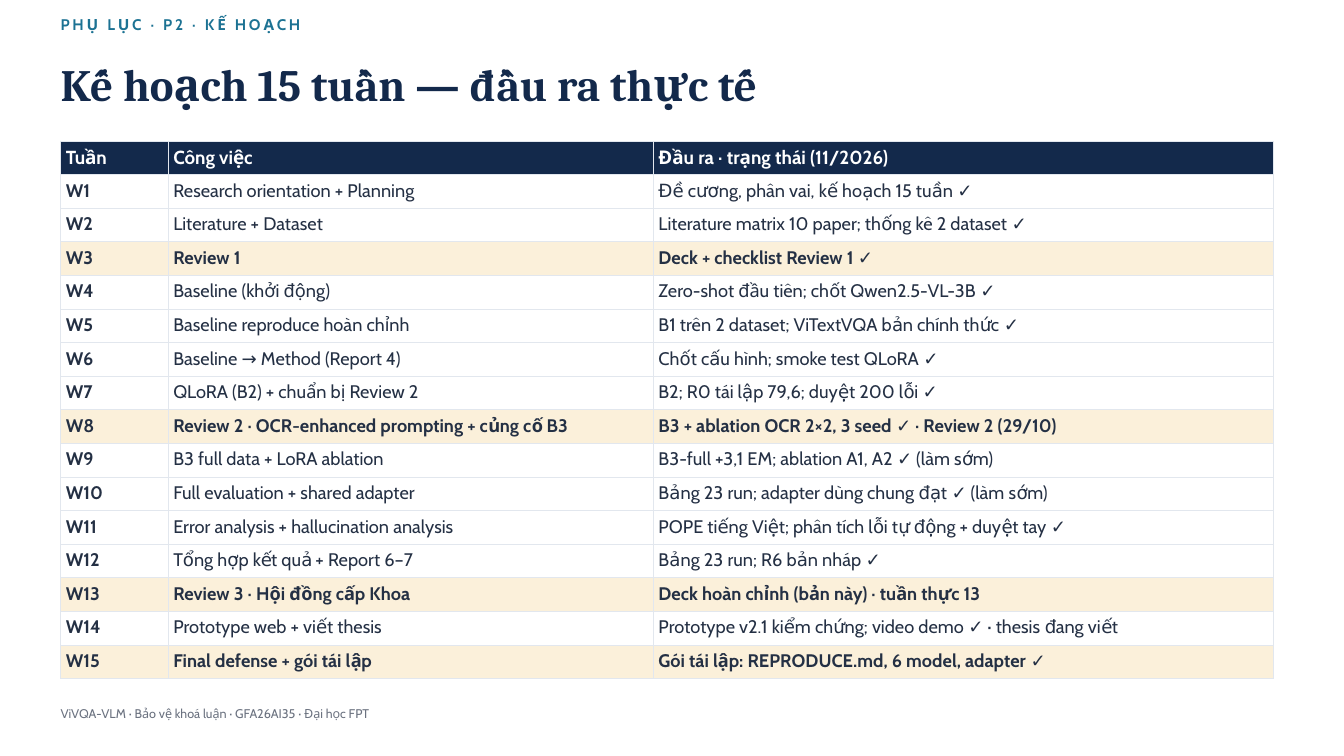
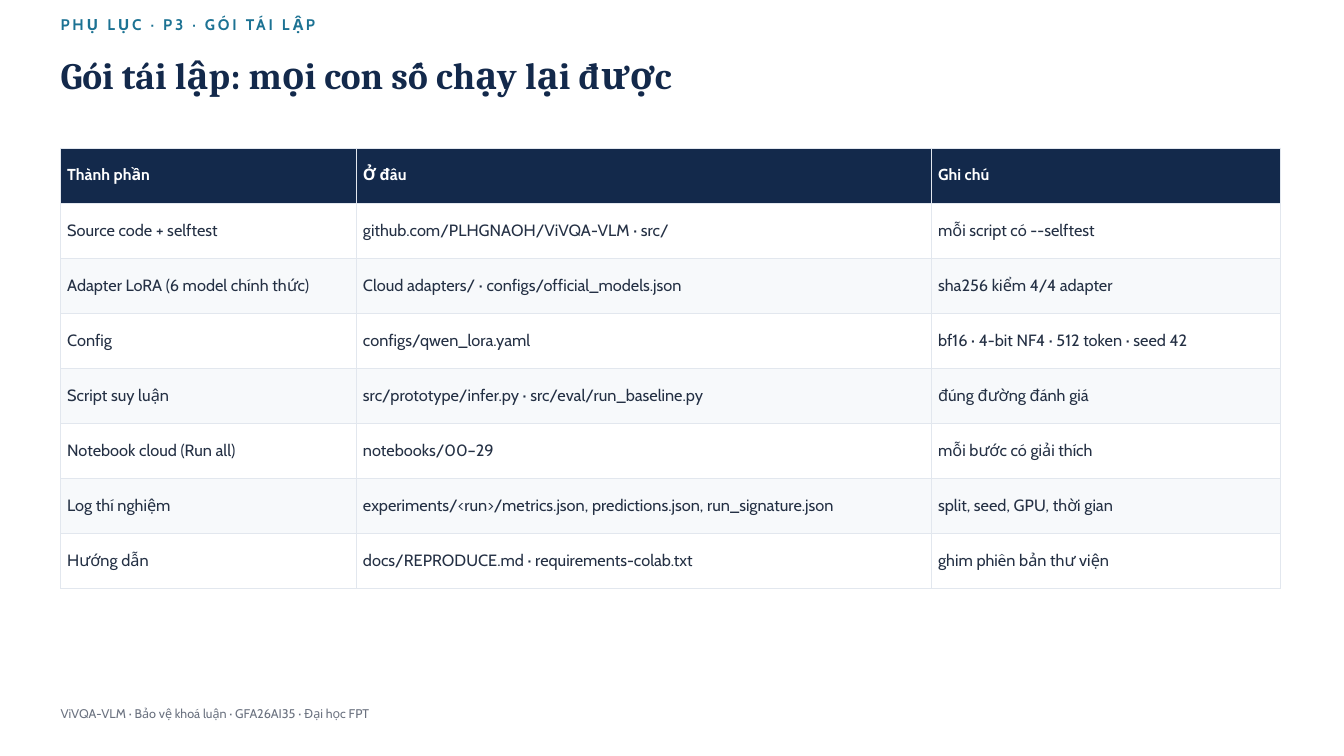
from pptx import Presentation, util as u
from pptx.dml.color import RGBColor
from pptx.enum import text
from pptx.oxml import parse_xml
from pptx.oxml.ns import nsdecls

# Shared look
COLORS = {
    "navy": "13294B", "teal": "1C7293", "ink": "243044", "grey": "6B7280",
    "white": "FFFFFF", "band": "F7F9FB", "milestone": "FBF0DA", "border": "E2E7EE",
}
BODY, HEADING = "Cabin", "Cambria"
LEFT, WIDTH = 2.29, 46.23
FOOTER = "ViVQA-VLM · Bảo vệ khoá luận · GFA26AI35 · Đại học FPT"

# Slide contents
PLAN_HEAD = ("Tuần", "Công việc", "Đầu ra · trạng thái (11/2026)")
PLAN = [
    ("Research orientation + Planning", "Đề cương, phân vai, kế hoạch 15 tuần ✓"),
    ("Literature + Dataset", "Literature matrix 10 paper; thống kê 2 dataset ✓"),
    ("Review 1", "Deck + checklist Review 1 ✓"),
    ("Baseline (khởi động)", "Zero-shot đầu tiên; chốt Qwen2.5-VL-3B ✓"),
    ("Baseline reproduce hoàn chỉnh", "B1 trên 2 dataset; ViTextVQA bản chính thức ✓"),
    ("Baseline → Method (Report 4)", "Chốt cấu hình; smoke test QLoRA ✓"),
    ("QLoRA (B2) + chuẩn bị Review 2", "B2; R0 tái lập 79,6; duyệt 200 lỗi ✓"),
    ("Review 2 · OCR-enhanced prompting + củng cố B3",
     "B3 + ablation OCR 2×2, 3 seed ✓ · Review 2 (29/10)"),
    ("B3 full data + LoRA ablation", "B3-full +3,1 EM; ablation A1, A2 ✓ (làm sớm)"),
    ("Full evaluation + shared adapter", "Bảng 23 run; adapter dùng chung đạt ✓ (làm sớm)"),
    ("Error analysis + hallucination analysis",
     "POPE tiếng Việt; phân tích lỗi tự động + duyệt tay ✓"),
    ("Tổng hợp kết quả + Report 6–7", "Bảng 23 run; R6 bản nháp ✓"),
    ("Review 3 · Hội đồng cấp Khoa", "Deck hoàn chỉnh (bản này) · tuần thực 13"),
    ("Prototype web + viết thesis",
     "Prototype v2.1 kiểm chứng; video demo ✓ · thesis đang viết"),
    ("Final defense + gói tái lập", "Gói tái lập: REPRODUCE.md, 6 model, adapter ✓"),
]
MILESTONES = {3, 8, 13, 15}

PACKAGE_HEAD = ("Thành phần", "Ở đâu", "Ghi chú")
PACKAGE = [
    ("Source code + selftest", "github.com/PLHGNAOH/ViVQA-VLM · src/",
     "mỗi script có --selftest"),
    ("Adapter LoRA (6 model chính thức)", "Cloud adapters/ · configs/official_models.json",
     "sha256 kiểm 4/4 adapter"),
    ("Config", "configs/qwen_lora.yaml", "bf16 · 4-bit NF4 · 512 token · seed 42"),
    ("Script suy luận", "src/prototype/infer.py · src/eval/run_baseline.py",
     "đúng đường đánh giá"),
    ("Notebook cloud (Run all)", "notebooks/00–29", "mỗi bước có giải thích"),
    ("Log thí nghiệm",
     "experiments/<run>/metrics.json, predictions.json, run_signature.json",
     "split, seed, GPU, thời gian"),
    ("Hướng dẫn", "docs/REPRODUCE.md · requirements-colab.txt", "ghim phiên bản thư viện"),
]


def rgb(name):
    return RGBColor.from_string(COLORS[name])


def style(p, size, color, bold=False, font=BODY, leading=None, spacing=0):
    p.line_spacing = u.Pt(leading or round(size * 1.2, 1))
    for r in p.runs:
        r.font.name, r.font.size, r.font.bold = font, u.Pt(size), bold
        r.font.color.rgb = rgb(color)
        if spacing:
            r._r.get_or_add_rPr().set("spc", str(spacing * 100))


def add_text(s, words, top, height, size, color, width=WIDTH, **look):
    tf = s.shapes.add_textbox(u.Cm(LEFT), u.Cm(top), u.Cm(width), u.Cm(height)).text_frame
    tf.margin_left = tf.margin_right = tf.margin_top = tf.margin_bottom = 0
    tf.word_wrap = True
    tf.auto_size = text.MSO_AUTO_SIZE.SHAPE_TO_FIT_TEXT
    tf.text = words
    style(tf.paragraphs[0], size, color, **look)


def add_borders(cell):
    tcPr = cell._tc.get_or_add_tcPr()
    for side in "LRTB":
        tcPr.append(parse_xml(
            f'<a:ln{side} {nsdecls("a")} w="9525"><a:solidFill>'
            f'<a:srgbClr val="{COLORS["border"]}"/></a:solidFill></a:ln{side}>'))


def add_table(s, rows, top, widths, row_height, margin, anchor, sizes, row_fill, is_bold):
    """Header row in navy; row_fill and is_bold decide the look of the body."""
    table = s.shapes.add_table(len(rows), len(widths), u.Cm(LEFT), u.Cm(top),
                               u.Cm(sum(widths)), u.Cm(row_height * len(rows))).table
    table.horz_banding = False
    for column, width in zip(table.columns, widths):
        column.width = u.Cm(width)
    for i, row in enumerate(rows):
        table.rows[i].height = u.Cm(row_height)
        fill = row_fill(i) if i else "navy"
        for j, words in enumerate(row):
            cell = table.cell(i, j)
            cell.margin_left = cell.margin_right = u.Cm(margin)
            cell.margin_top = cell.margin_bottom = u.Cm(margin)
            cell.vertical_anchor = anchor
            add_borders(cell)
            if fill:
                cell.fill.solid()
                cell.fill.fore_color.rgb = rgb(fill)
            else:
                cell.fill.background()
            cell.text = words
            p = cell.text_frame.paragraphs[0]
            if i:
                style(p, sizes[1], "ink", bold=is_bold(i, j))
            else:
                style(p, sizes[0], "white", bold=True)


def add_slide(prs, section, title, title_top, title_height, title_size):
    s = prs.slides.add_slide(prs.slide_layouts[6])
    add_text(s, f"PHỤ LỤC · {section}", 0.58, 1.78, 16.5, "teal", bold=True, spacing=3)
    add_text(s, title, title_top, title_height, title_size, "navy",
             bold=True, font=HEADING, leading=57.6)
    add_text(s, FOOTER, 26.62, 1.27, 13.5, "grey", width=38.1, leading=18.1)
    return s


def main():
    prs = Presentation()
    prs.slide_width, prs.slide_height = u.Cm(50.8), u.Cm(28.58)

    # Weekly plan, milestones highlighted
    s = add_slide(prs, "P2 · KẾ HOẠCH", "Kế hoạch 15 tuần — đầu ra thực tế", 2.16, 2.87, 48)
    weeks = [(f"W{n}", *row) for n, row in enumerate(PLAN, 1)]
    add_table(s, [PLAN_HEAD] + weeks, 5.33, (4.06, 18.34, 23.44), 1.27, 0.2,
              text.MSO_ANCHOR.TOP, (20.2, 19.5),
              row_fill=lambda i: "milestone" if i in MILESTONES else None,
              is_bold=lambda i, j: j == 0 or i in MILESTONES)

    # Reproduction package, banded rows
    s = add_slide(prs, "P3 · GÓI TÁI LẬP", "Gói tái lập: mọi con số chạy lại được", 1.63, 3.4, 40)
    add_table(s, [PACKAGE_HEAD] + PACKAGE, 5.59, (11.18, 21.74, 13.18), 2.08, 0.25,
              text.MSO_ANCHOR.MIDDLE, (17, 17.5),
              row_fill=lambda i: "white" if i % 2 else "band",
              is_bold=lambda i, j: False)

    prs.save("out.pptx")


if __name__ == "__main__":
    main()
